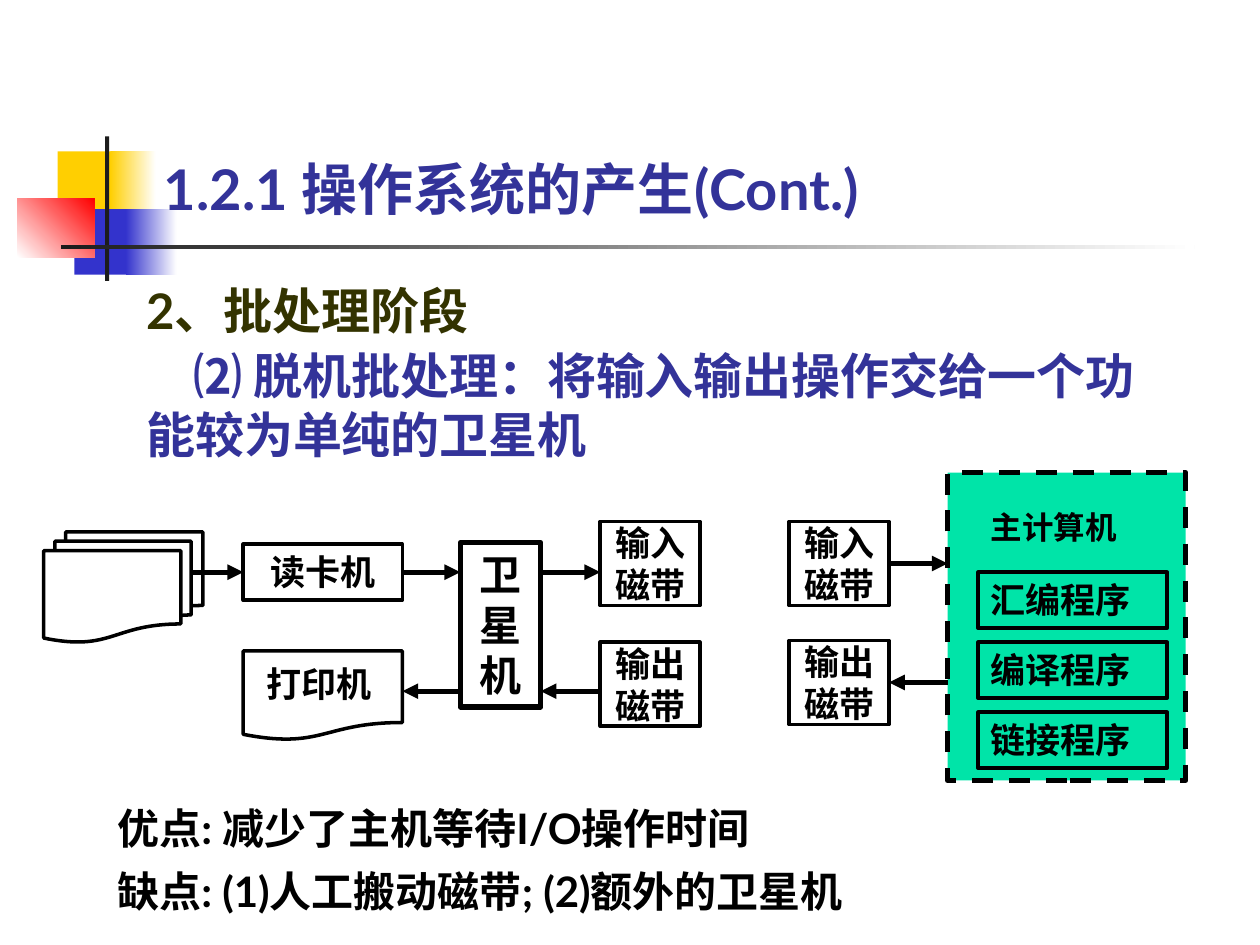
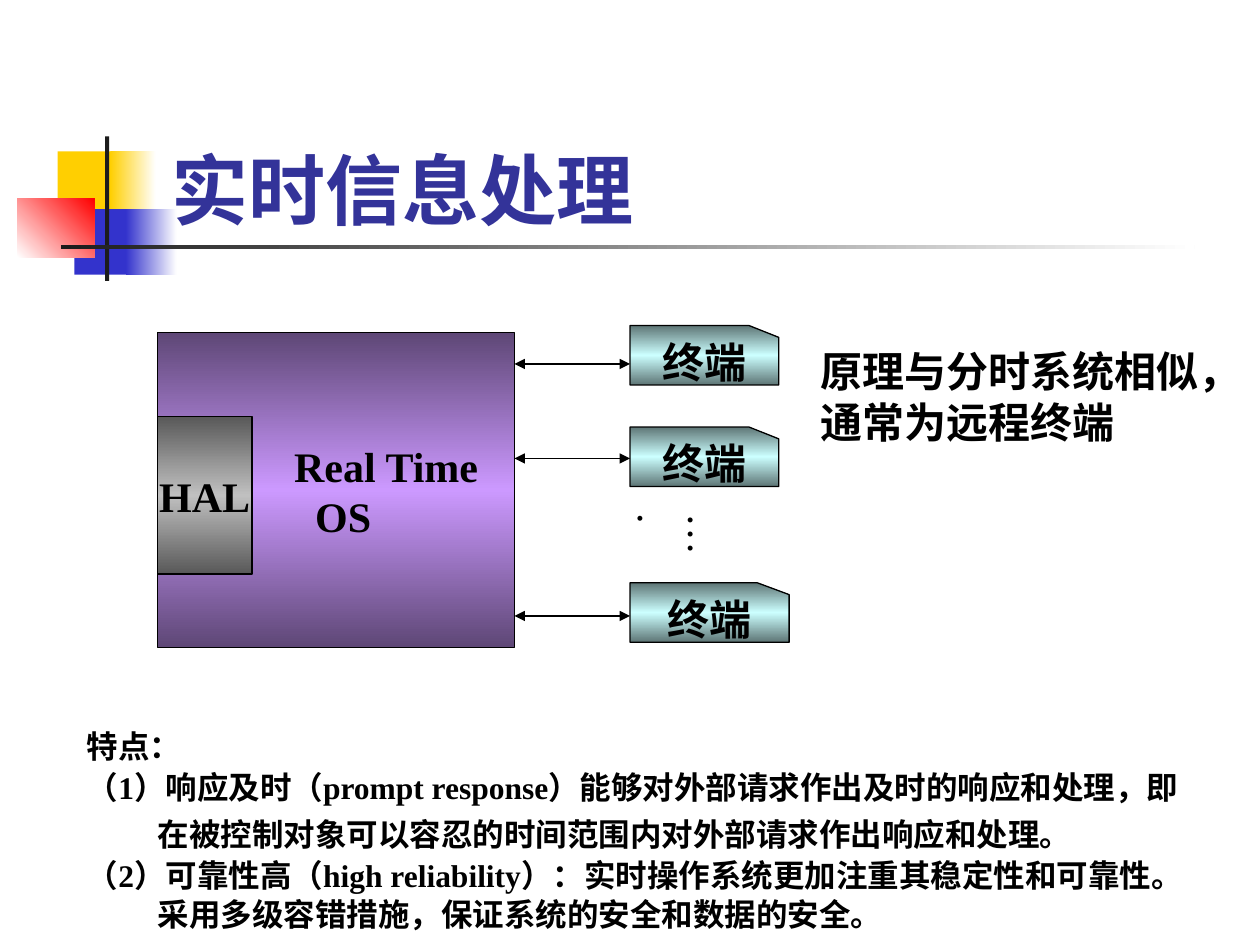
from lxml import etree
from pptx import Presentation
from pptx.dml.color import RGBColor
from pptx.enum.dml import MSO_LINE
from pptx.enum.shapes import MSO_CONNECTOR, MSO_SHAPE
from pptx.enum.text import MSO_ANCHOR, PP_ALIGN
from pptx.oxml.ns import qn
from pptx.util import Pt

RECT = MSO_SHAPE.RECTANGLE
PAGE = MSO_SHAPE.FLOWCHART_DOCUMENT
STACK = MSO_SHAPE.FLOWCHART_MULTIDOCUMENT
CARD = MSO_SHAPE.FLOWCHART_CARD
LINE = MSO_CONNECTOR.STRAIGHT
DASH = MSO_LINE.DASH
LEFT, CENTER = PP_ALIGN.LEFT, PP_ALIGN.CENTER
TOP, MIDDLE, BOTTOM = MSO_ANCHOR.TOP, MSO_ANCHOR.MIDDLE, MSO_ANCHOR.BOTTOM

BLACK = RGBColor(0x00, 0x00, 0x00)
WHITE = RGBColor(0xFF, 0xFF, 0xFF)
INK = RGBColor(0x1C, 0x1C, 0x1C)
GOLD = RGBColor(0xFF, 0xCF, 0x01)
BLUE = RGBColor(0x33, 0x33, 0xCC)
RED = RGBColor(0xFF, 0x00, 0x00)
NAVY = RGBColor(0x33, 0x33, 0x99)
OLIVE = RGBColor(0x33, 0x33, 0x00)
GREEN = RGBColor(0x00, 0xE4, 0xA8)
PLUM = RGBColor(0x5E, 0x47, 0x76)
LILAC = RGBColor(0xCC, 0x99, 0xFF)
GRAY = RGBColor(0x59, 0x59, 0x59)
SILVER = RGBColor(0xC0, 0xC0, 0xC0)
TEAL = RGBColor(0x5E, 0x76, 0x76)
AQUA = RGBColor(0xCC, 0xFF, 0xFF)
LATO, TIMES = "Lato", "Times New Roman"


def write(shape, *lines, size=20, font=LATO, color=BLACK, bold=True,
          align=LEFT, anchor=TOP, inset=(7.2, 3.6), wrap=True):
    frame = shape.text_frame
    frame.word_wrap = wrap
    frame.vertical_anchor = anchor
    frame.margin_left = frame.margin_right = Pt(inset[0])
    frame.margin_top = frame.margin_bottom = Pt(inset[1])
    for i, line in enumerate(lines):
        text, form = line if isinstance(line, tuple) else (line, {})
        para = frame.add_paragraph() if i else frame.paragraphs[0]
        props = para._p.get_or_add_pPr()
        props.set("marL", str(Pt(form.get("left", 0))))
        props.set("indent", str(Pt(form.get("first", 0))))
        para.alignment = align
        para.space_before = Pt(form.get("before", 0))
        para.line_spacing = form.get("space", 1.0)
        run = para.add_run()
        run.text = text
        run.font.size = Pt(size)
        run.font.name = font
        run.font.bold = bold
        run.font.color.rgb = form.get("color", color)
    return shape


def blend(shape, colors, angle):
    props = shape.element.spPr
    grad = etree.Element(qn("a:gradFill"), rotWithShape="1")
    stops = etree.SubElement(grad, qn("a:gsLst"))
    for i, color in enumerate(colors):
        stop = etree.SubElement(stops, qn("a:gs"), pos=str(100000 * i // (len(colors) - 1)))
        etree.SubElement(stop, qn("a:srgbClr"), val=str(color))
    etree.SubElement(grad, qn("a:lin"), ang=str(angle * 60000), scaled="0")
    props.find(qn("a:prstGeom")).addnext(grad)


def draw(slide, x, y, w, h, kind=RECT, fill=None, angle=90, line=0):
    shape = slide.shapes.add_shape(kind, Pt(x), Pt(y), Pt(w), Pt(h))
    shape.shadow.inherit = False
    if isinstance(fill, list):
        blend(shape, fill, angle)
    elif fill is None:
        shape.fill.background()
    else:
        shape.fill.solid()
        shape.fill.fore_color.rgb = fill
    if line:
        shape.line.color.rgb = BLACK
        shape.line.width = Pt(line)
    else:
        shape.line.fill.background()
    return shape


def label(slide, x, y, w, h, *lines, **form):
    box = slide.shapes.add_textbox(Pt(x), Pt(y), Pt(w), Pt(h))
    return write(box, *lines, **form)


def link(slide, x1, x2, y, width=3, both=False, start=None, end=None):
    wire = slide.shapes.add_connector(LINE, Pt(x1), Pt(y), Pt(x2), Pt(y))
    if start:
        wire.begin_connect(*start)
    if end:
        wire.end_connect(*end)
    wire.line.color.rgb = BLACK
    wire.line.width = Pt(width)
    line = wire.line._get_or_add_ln()
    for tag in ["a:headEnd", "a:tailEnd"] if both else ["a:tailEnd"]:
        etree.SubElement(line, qn(tag), type="triangle")
    etree.SubElement(wire.element.spPr, qn("a:effectLst"))


def badge(slide, layout):
    tree = layout.shapes._spTree
    parts = [
        (33, 86.5, 35, 37, GOLD, 0),
        (63, 86.5, 26, 37, [GOLD, WHITE], 0),
        (42.5, 119.5, 33, 37.5, BLUE, 0),
        (72, 119.5, 29, 37.5, [BLUE, WHITE], 0),
        (10, 113.5, 44, 33.5, [WHITE, RED], 315),
        (60, 78, 2.4, 82.5, INK, 0),
        (34.7, 140, 648, 2.5, [INK, WHITE], 0),
    ]
    for i, (x, y, w, h, fill, angle) in enumerate(parts):
        part = draw(slide, x, y, w, h, fill=fill, angle=angle)
        tree.insert(2 + i, part.element)


def head(slide, text, x, y, w, h, **form):
    title = slide.shapes.title
    title.left, title.top, title.width, title.height = Pt(x), Pt(y), Pt(w), Pt(h)
    write(title, text, color=NAVY, **form)


def tape(slide, x, y, text):
    box = draw(slide, x, y, 57, 48, line=2)
    return write(box, text, align=CENTER, inset=(0, 0))


def feed(slide, x, y):
    draw(slide, x, y + 6, 91, 63, STACK, WHITE, line=2)
    reader = draw(slide, x + 114, y + 13, 91, 32, line=2)
    write(reader, "读卡机", align=CENTER)
    draw(slide, x + 114, y + 74, 91, 51, PAGE, line=2)
    label(slide, x + 120, y + 77, 85, 32, "打印机")
    hub = draw(slide, x + 238, y + 12, 46, 94, line=3)
    write(hub, "卫星机", size=24, align=CENTER)
    tape(slide, x + 318, y, "输入磁带")
    tape(slide, x + 318, y + 69, "输出磁带")
    link(slide, x + 85, x + 114, y + 29, end=(reader, 1))
    link(slide, x + 205, x + 238, y + 29, start=(reader, 3))
    link(slide, x + 284, x + 318, y + 29)
    link(slide, x + 318, x + 284, y + 97)
    link(slide, x + 238, x + 205, y + 97)


def host(slide, x, y):
    draw(slide, x + 90.5, y, 136, 176, fill=GREEN, line=3).line.dash_style = DASH
    label(slide, x + 108, y + 17, 97, 29, "主计算机", size=18)
    for i, name in enumerate(["汇编程序", "编译程序", "链接程序"]):
        write(draw(slide, x + 108, y + 57 + 40 * i, 108, 32, line=2), name)
    source = tape(slide, x, y + 28, "输入磁带")
    target = tape(slide, x, y + 96, "输出磁带")
    link(slide, x + 57, x + 90.5, y + 52, start=(source, 3))
    link(slide, x + 90.5, x + 57, y + 120, end=(target, 3))


def batch(slide):
    head(slide, "1.2.1 操作系统的产生(Cont.)", 93.6, 88.5, 460, 38, size=32, inset=(0, 0))
    label(slide, 76.5, 157, 601, 112,
          ("2、批处理阶段", {"color": OLIVE}),
          ("⑵ 脱机批处理：将输入输出操作交给一个功能较为单纯的卫星机",
           {"before": 3.5, "first": 27}), size=28, color=NAVY)
    feed(slide, 25, 298)
    host(slide, 451, 270)
    label(slide, 60, 455, 465, 73, "优点: 减少了主机等待I/O操作时间",
          ("缺点: (1)人工搬动磁带; (2)额外的卫星机", {"before": 7.5}), size=24)


def system(slide, x, y):
    big = {"size": 24, "font": TIMES}
    mid = dict(big, align=CENTER, anchor=MIDDLE, wrap=False)
    draw(slide, x, y + 4, 204, 180, fill=[PLUM, LILAC, PLUM], line=0.75)
    write(draw(slide, x, y + 52, 54, 90, fill=[GRAY, SILVER, GRAY], line=0.75), "HAL", **mid)
    label(slide, x + 71, y + 62, 132, 65, "Real Time", ("OS", {"left": 12}), **big)
    for top, width, wire in [(0, 85, 22), (58, 85, 76), (147, 91, 166)]:
        card = draw(slide, x + 270, y + top, width, 34, CARD, [TEAL, AQUA, TEAL], line=0.75)
        card.element.spPr.xfrm.set("flipH", "1")
        write(card, "终端", **mid)
        link(slide, x + 204, x + 270, y + wire, width=0.75, both=True)
    dots = label(slide, x + 288, y + 100, 43, 42, "….", bold=False, inset=(3.6, 7.2), **big)
    dots.text_frame._txBody.bodyPr.set("vert", "eaVert")
    label(slide, x + 372, y + 8, 258, 65, "原理与分时系统相似，通常为远程终端", **big)


def live(slide):
    head(slide, "实时信息处理", 91, 48, 613, 90, size=44, anchor=BOTTOM)
    system(slide, 90, 186)
    tight = {"before": 11.2, "space": 0.5}
    label(slide, 42.5, 412, 658, 124, "特点：",
          ("（1）响应及时（prompt response）能够对外部请求作出及时的响应和处理，即", tight),
          ("在被控制对象可以容忍的时间范围内对外部请求作出响应和处理。",
           {"before": 6.8, "left": 40.5}),
          ("（2）可靠性高（high reliability）：实时操作系统更加注重其稳定性和可靠性。", tight),
          ("采用多级容错措施，保证系统的安全和数据的安全。", dict(tight, left=40.5)),
          size=18, font=TIMES)


def main():
    deck = Presentation()
    deck.slide_width, deck.slide_height = Pt(720), Pt(540)
    layout = deck.slide_layouts[5]
    first = deck.slides.add_slide(layout)
    badge(first, layout)
    batch(first)
    live(deck.slides.add_slide(layout))
    deck.save("out.pptx")


if __name__ == "__main__":
    main()
